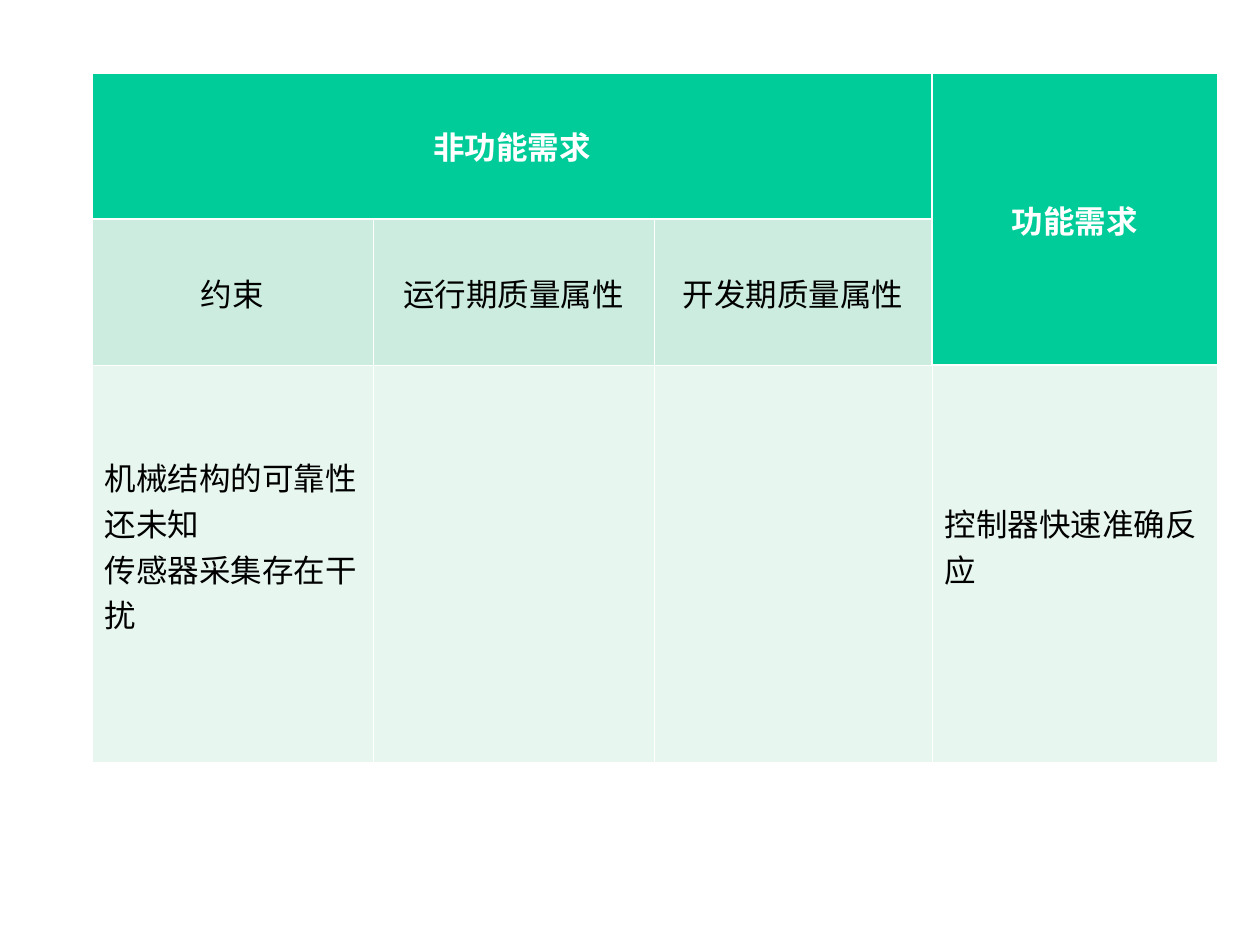
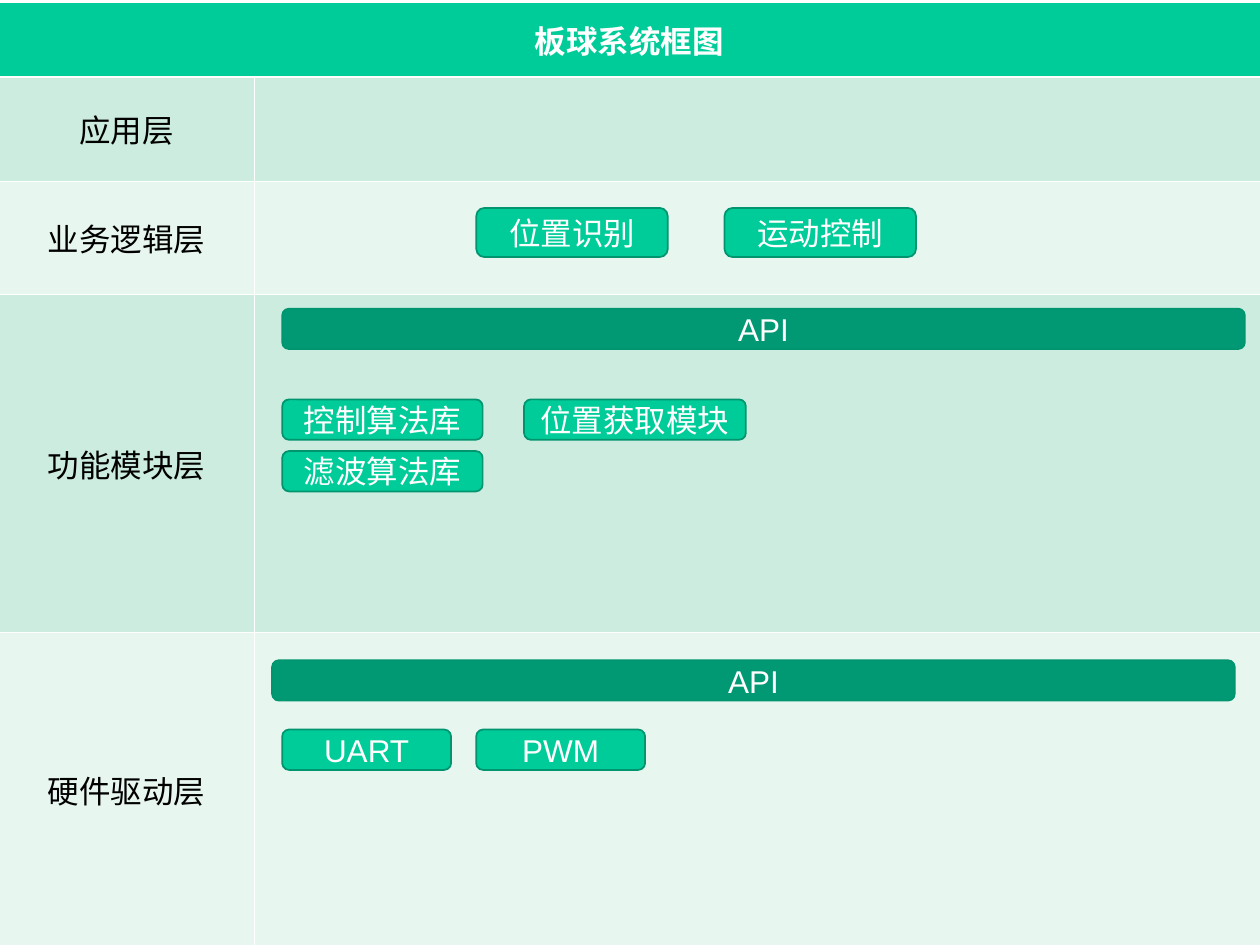
from dataclasses import dataclass

from lxml.etree import SubElement
from pptx import Presentation
from pptx.dml.color import RGBColor
from pptx.enum.shapes import MSO_SHAPE as Preset
from pptx.enum.text import MSO_ANCHOR as Anchor, PP_ALIGN as Align
from pptx.oxml.ns import qn
from pptx.slide import Slide
from pptx.table import _Cell as TableCell
from pptx.text.text import TextFrame
from pptx.util import Inches, Pt

# Shared style
COLORS = {
    "header": "00CC99",
    "bar": "009973",
    "outline": "00956F",
    "odd_row": "CBECDE",
    "even_row": "E7F6EF",
    "white": "FFFFFF",
    "black": "000000",
}
FONT_NAME = "Arial"
FONT_SIZE = Pt(18)
THIN, THICK = Pt(0.45), Pt(1.47)


@dataclass(frozen=True)
class Header:
    """A heading cell, which may cover several rows and columns."""
    row: int
    column: int
    rows: int
    columns: int

    def covers(self, row: int, column: int) -> bool:
        return (self.row <= row < self.row + self.rows
                and self.column <= column < self.column + self.columns)


@dataclass(frozen=True)
class TableSpec:
    left: float
    top: float
    widths: list[float]
    heights: list[float]
    headers: list[Header]
    texts: dict[tuple[int, int], str]
    left_aligned_rows: tuple[int, ...] = ()

    def header_at(self, row: int, column: int) -> Header | None:
        return next((h for h in self.headers if h.covers(row, column)), None)


@dataclass(frozen=True)
class Box:
    text: str
    left: float
    top: float
    width: float
    height: float = 0.32
    fill: str = "header"


def rgb(name: str) -> RGBColor:
    return RGBColor.from_string(COLORS[name])


def format_text(frame: TextFrame, color: str, bold: bool = False,
                align: Align = Align.CENTER) -> None:
    for paragraph in frame.paragraphs:
        paragraph.alignment = align
        paragraph.font.size = FONT_SIZE
        for run in paragraph.runs:
            run.font.name = FONT_NAME
            run.font.size = FONT_SIZE
            run.font.bold = bold
            run.font.color.rgb = rgb(color)


def set_borders(cell: TableCell, spec: TableSpec, row: int, column: int) -> None:
    """Draw thick edges around headers, thin ones elsewhere and outside."""
    neighbours = {"lnL": (row, column - 1), "lnR": (row, column + 1),
                  "lnT": (row - 1, column), "lnB": (row + 1, column)}
    properties = cell._tc.get_or_add_tcPr()
    own_header = spec.header_at(row, column)
    for index, (side, (next_row, next_column)) in enumerate(neighbours.items()):
        inside = (0 <= next_row < len(spec.heights)
                  and 0 <= next_column < len(spec.widths))
        thick = inside and spec.header_at(next_row, next_column) != own_header
        line = SubElement(properties, qn(f"a:{side}"), w=str(THICK if thick else THIN))
        fill = SubElement(line, qn("a:solidFill"))
        SubElement(fill, qn("a:srgbClr"), val=COLORS["white"])
        properties.insert(index, line)


def draw_table(slide: Slide, spec: TableSpec) -> None:
    table = slide.shapes.add_table(
        len(spec.heights), len(spec.widths), Inches(spec.left), Inches(spec.top),
        Inches(sum(spec.widths)), Inches(sum(spec.heights))).table
    table.horz_banding = False
    for column, width in zip(table.columns, spec.widths):
        column.width = Inches(width)
    for row, height in zip(table.rows, spec.heights):
        row.height = Inches(height)

    for row in range(len(spec.heights)):
        for column in range(len(spec.widths)):
            cell = table.cell(row, column)
            is_header = spec.header_at(row, column) is not None
            band = "odd_row" if row % 2 else "even_row"
            cell.fill.solid()
            cell.fill.fore_color.rgb = rgb("header" if is_header else band)
            cell.vertical_anchor = Anchor.MIDDLE
            cell.text_frame.text = spec.texts.get((row, column), "")
            align = Align.CENTER
            if row in spec.left_aligned_rows:
                align = Align.LEFT
                cell.margin_bottom = Inches(0.34)
            format_text(cell.text_frame, "white" if is_header else "black",
                        is_header, align)
            set_borders(cell, spec, row, column)

    for header in spec.headers:
        last_cell = table.cell(header.row + header.rows - 1,
                               header.column + header.columns - 1)
        table.cell(header.row, header.column).merge(last_cell)


def draw_box(slide: Slide, box: Box) -> None:
    shape = slide.shapes.add_shape(
        Preset.ROUNDED_RECTANGLE, Inches(box.left), Inches(box.top),
        Inches(box.width), Inches(box.height))
    shape.shadow.inherit = False
    shape.fill.solid()
    shape.fill.fore_color.rgb = rgb(box.fill)
    shape.line.color.rgb = rgb("outline")
    shape.line.width = Pt(1)
    frame = shape.text_frame
    frame.word_wrap = True
    frame.vertical_anchor = Anchor.MIDDLE
    frame.text = box.text
    format_text(frame, "white")


# Slide 1: requirements
REQUIREMENTS = TableSpec(
    left=0.73, top=0.58,
    widths=[2.23, 2.23, 2.21, 2.26], heights=[1.16, 1.16, 3.15],
    headers=[Header(0, 0, 1, 3), Header(0, 3, 2, 1)],
    texts={
        (0, 0): "非功能需求",
        (0, 3): "功能需求",
        (1, 0): "约束",
        (1, 1): "运行期质量属性",
        (1, 2): "开发期质量属性",
        (2, 0): "机械结构的可靠性还未知\n传感器采集存在干扰",
        (2, 3): "控制器快速准确反应",
    },
    left_aligned_rows=(2,),
)

# Slide 2: system layers and their modules
LAYERS = TableSpec(
    left=-0.01, top=0.02,
    widths=[2.03, 7.98], heights=[0.59, 0.83, 0.9, 2.68, 2.5],
    headers=[Header(0, 0, 1, 2)],
    texts={(row, 0): text for row, text in enumerate(
        ["板球系统框图", "应用层", "业务逻辑层", "功能模块层", "硬件驱动层"])},
)
MODULE_LEFT, SECOND_LEFT = 2.24, 3.78
MODULES = [
    Box("位置识别", SECOND_LEFT, 1.65, 1.52, 0.39),
    Box("运动控制", 5.75, 1.65, 1.52, 0.39),
    Box("API", MODULE_LEFT, 2.45, 7.64, fill="bar"),
    Box("控制算法库", MODULE_LEFT, 3.17, 1.59),
    Box("位置获取模块", 4.16, 3.17, 1.76),
    Box("滤波算法库", MODULE_LEFT, 3.58, 1.59),
    Box("API", 2.16, 5.24, 7.64, fill="bar"),
    Box("UART", MODULE_LEFT, 5.79, 1.34),
    Box("PWM", SECOND_LEFT, 5.79, 1.34),
]


def main() -> None:
    presentation = Presentation()
    presentation.slide_width = Inches(10)
    presentation.slide_height = Inches(7.5)
    blank_layout = presentation.slide_layouts[6]

    draw_table(presentation.slides.add_slide(blank_layout), REQUIREMENTS)

    layer_slide = presentation.slides.add_slide(blank_layout)
    draw_table(layer_slide, LAYERS)
    for box in MODULES:
        draw_box(layer_slide, box)

    presentation.save("out.pptx")


if __name__ == "__main__":
    main()
